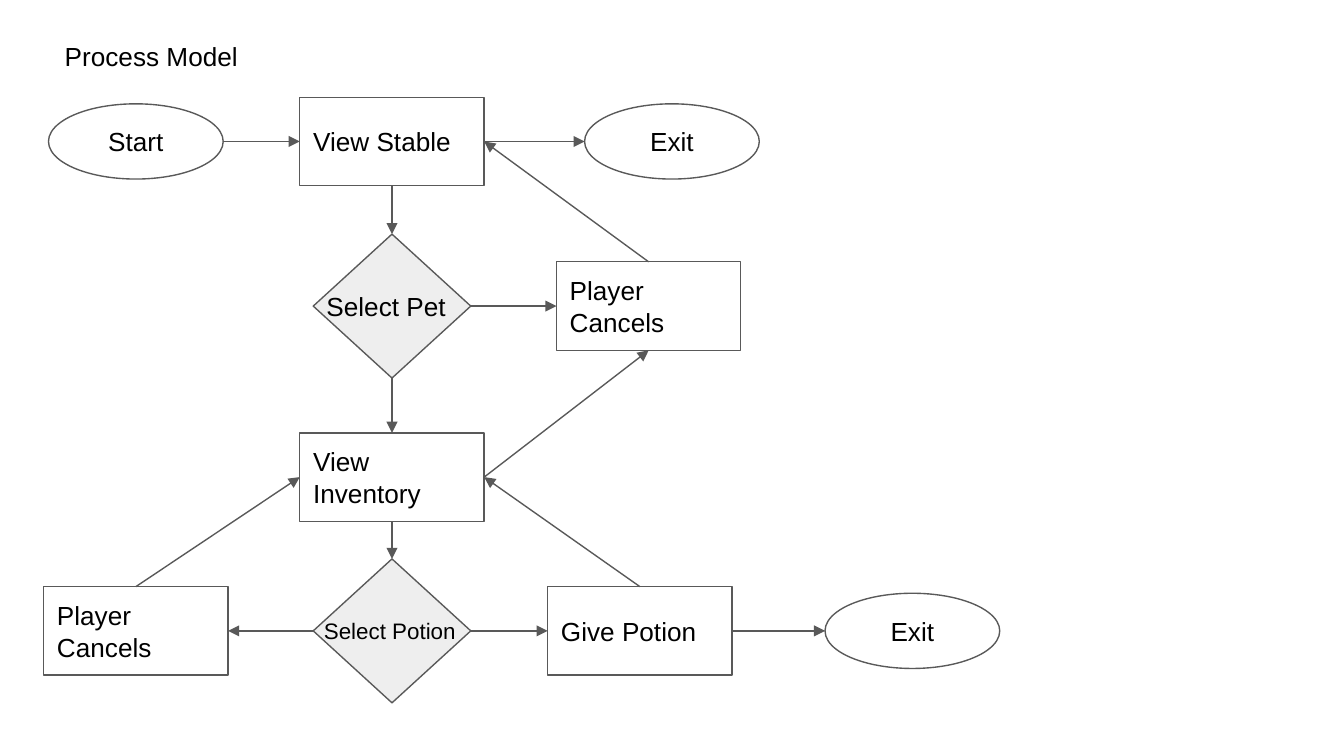
from lxml.etree import SubElement
from pptx import Presentation
from pptx.dml.color import RGBColor
from pptx.enum.shapes import MSO_CONNECTOR, MSO_SHAPE
from pptx.enum.text import MSO_ANCHOR, PP_ALIGN
from pptx.oxml.ns import qn
from pptx.util import Pt

INK, GREY, WHITE, PALE = "000000", "595959", "FFFFFF", "EEEEEE"
TITLE = "Process Model"

# Kind: preset, width, height, fill, alignment
KINDS = {
    "end": (MSO_SHAPE.OVAL, 93.6, 40.3, WHITE, PP_ALIGN.CENTER),
    "step": (MSO_SHAPE.RECTANGLE, 98.8, 47.4, None, PP_ALIGN.LEFT),
    "choice": (MSO_SHAPE.DIAMOND, 84.4, 77.1, PALE, None),
}

# Columns and rows of node centres
LEFT, MID = 72.8, 210
ROW1, ROW2, ROW3, ROW4 = 75.8, 164, 255.6, 338

# Name: kind, text, centre x, centre y
NODES = {
    "start": ("end", "Start", LEFT, ROW1),
    "stable": ("step", "View Stable", MID, ROW1),
    "exit": ("end", "Exit", 360, ROW1),
    "pet": ("choice", "", MID, ROW2),
    "cancel": ("step", "Player Cancels", 347.5, ROW2),
    "stock": ("step", "View Inventory", MID, ROW3),
    "potion": ("choice", "", MID, ROW4),
    "back": ("step", "Player Cancels", LEFT, ROW4),
    "give": ("step", "Give Potion", 342.8, ROW4),
    "done": ("end", "Exit", 488.8, ROW4),
}

# Labels: text, left, top, width, height, size, inset
LABELS = [
    (TITLE, 27.6, 14.4, 162.7, 31.7, 14, 7.2),
    ("Select Pet", 167.8, 148.3, 84.4, 31.7, 14, 7.2),
    ("Select Potion", 173.5, 330.8, 72.7, 14.4, 12, 0),
]

# Arrows: from node, side, to node, side
TOP, WEST, BASE, EAST = range(4)
ARROWS = [
    ("start", EAST, "stable", WEST),
    ("stable", EAST, "exit", WEST),
    ("stable", BASE, "pet", TOP),
    ("pet", EAST, "cancel", WEST),
    ("pet", BASE, "stock", TOP),
    ("cancel", TOP, "stable", EAST),
    ("stock", EAST, "cancel", BASE),
    ("stock", BASE, "potion", TOP),
    ("potion", WEST, "back", EAST),
    ("potion", EAST, "give", WEST),
    ("back", TOP, "stock", WEST),
    ("give", TOP, "stock", EAST),
    ("give", EAST, "done", WEST),
]
STEPS = {TOP: (0, -0.5), WEST: (-0.5, 0), BASE: (0, 0.5), EAST: (0.5, 0)}


def color(code):
    return RGBColor.from_string(code)


def write(shape, text, size=14, inset=7.2, align=PP_ALIGN.LEFT):
    frame = shape.text_frame
    frame.text = text
    frame.word_wrap = True
    frame.margin_left = frame.margin_right = Pt(inset)
    frame.margin_top = frame.margin_bottom = Pt(inset)
    para = frame.paragraphs[0]
    para.alignment = align
    font = para.runs[0].font
    font.name, font.size = "Arial", Pt(size)
    font.color.rgb = color(INK)


def outline(line):
    line.color.rgb = color(GREY)
    line.width = Pt(0.75)


def add_node(slide, kind, text, x, y):
    preset, w, h, fill, align = KINDS[kind]
    node = slide.shapes.add_shape(
        preset, Pt(x - w / 2), Pt(y - h / 2), Pt(w), Pt(h))
    node.shadow.inherit = False
    if fill:
        node.fill.solid()
        node.fill.fore_color.rgb = color(fill)
    else:
        node.fill.background()
    outline(node.line)
    if text:
        write(node, text, align=align)
        node.text_frame.vertical_anchor = MSO_ANCHOR.MIDDLE
    return node


def port(name, side):
    kind, _, x, y = NODES[name]
    _, w, h, *_ = KINDS[kind]
    dx, dy = STEPS[side]
    return Pt(x + dx * w), Pt(y + dy * h)


def add_arrow(slide, made, tail, out, head, into):
    link = slide.shapes.add_connector(
        MSO_CONNECTOR.STRAIGHT, *port(tail, out), *port(head, into))
    # Side numbers match the glue points of steps and choices only
    if NODES[tail][0] != "end":
        link.begin_connect(made[tail], out)
    if NODES[head][0] != "end":
        link.end_connect(made[head], into)
    outline(link.line)
    SubElement(link.line._get_or_add_ln(), qn("a:tailEnd"), type="triangle")
    SubElement(link._element.spPr, qn("a:effectLst"))


def main():
    deck = Presentation()
    deck.slide_width, deck.slide_height = Pt(720), Pt(405)
    slide = deck.slides.add_slide(deck.slide_layouts[6])

    # Flowchart nodes
    made = {name: add_node(slide, *node) for name, node in NODES.items()}

    # Title and choice labels
    for text, x, y, w, h, size, inset in LABELS:
        box = slide.shapes.add_textbox(Pt(x), Pt(y), Pt(w), Pt(h))
        write(box, text, size, inset)

    # Flow arrows
    for arrow in ARROWS:
        add_arrow(slide, made, *arrow)

    deck.save("out.pptx")


if __name__ == "__main__":
    main()
